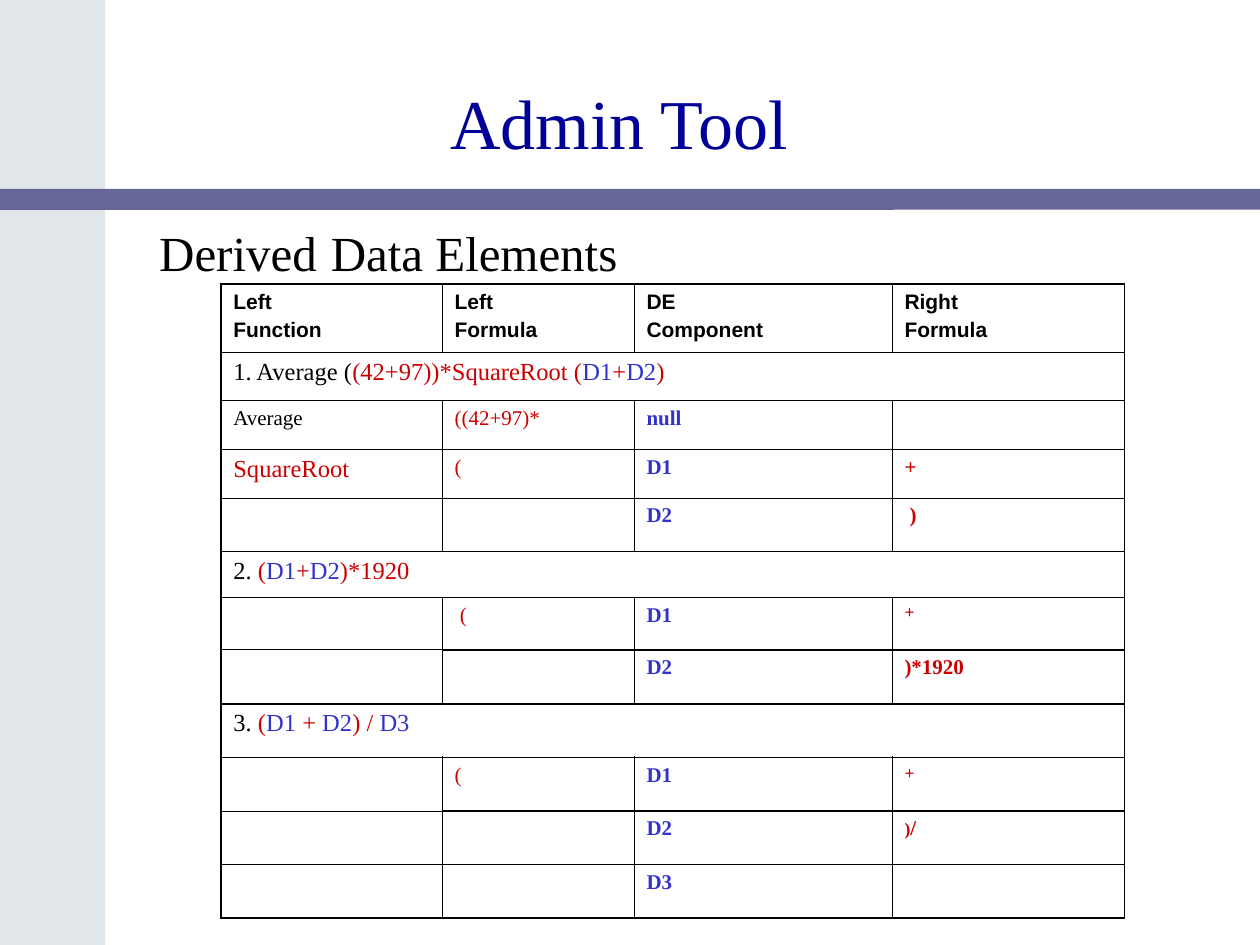
"""Build the Admin Tool slide with its table of derived data elements."""
import lxml.etree
import pptx
import pptx.dml.color
import pptx.enum.shapes
import pptx.enum.text
import pptx.oxml.ns
import pptx.util

Cm, Pt = pptx.util.Cm, pptx.util.Pt
SHAPE = pptx.enum.shapes.MSO_SHAPE
qn = pptx.oxml.ns.qn

COLORS = {"side": "E1E6EB", "bar": "666699", "title": "000099",
          "black": "000000", "red": "CC0000", "blue": "3333CC"}
TITLE = "Admin Tool"
SUBTITLE = [("Derived", 28), (" ", 32), ("Data Elements", 28)]
HEADERS = [("Left", "Function"), ("Left", "Formula"),
           ("DE", "Component"), ("Right", "Formula")]
OPEN = [("(", "red")]
PLUS = [("+", "red", 10)]
D1, D2, D3 = ([(name, "blue")] for name in ("D1", "D2", "D3"))
BODY = [
    [[("1. Average (", "black", 14), ("(42+97))*SquareRoot (", "red", 14), ("D1", "blue", 14),
      ("+", "red", 14), ("D2", "blue", 14), (")", "red", 14)]],
    [[("Average", "black")], [("((42+97)*", "red")], [("null", "blue")], []],
    [[("SquareRoot", "red", 14)], OPEN, D1, [("+", "red")]],
    [[], [], D2, [(" )", "red")]],
    [[("2.", "black", 14), (" (", "red", 14), ("D1", "blue", 14), ("+", "red", 14),
      ("D2", "blue", 14), (")*1920", "red", 14)]],
    [[], [(" (", "red")], D1, PLUS],
    [[], [], D2, [(")*1920", "red")]],
    [[("3.", "black", 14), (" (", "red", 14), ("D1 ", "blue", 14), ("+ ", "red", 14),
      ("D2", "blue", 14), (") / ", "red", 14), ("D3", "blue", 14)]],
    [[], OPEN, D1, PLUS],
    [[], [], D2, [(")", "red", 10), ("/", "red", 12)]],
    [[], [], D3, []],
]
COL_WIDTHS = [4.46, 3.87, 5.2, 4.69]
ROW_HEIGHTS = [1.37, 0.98, 0.98, 0.98, 1.07, 0.93, 1.06, 1.09] + [1.08] * 4
THIN, THICK = 0.45, 1.08
THICK_LINES = {0, 8, 9, 12}
PARTLY_THICK_LINES = {7, 10, 11}


def rgb(name):
    return pptx.dml.color.RGBColor.from_string(COLORS[name])


def add_text(p, text, color="black", size=12, bold=False, font="Times New Roman"):
    r = p.add_run()
    r.text = text
    r.font.name, r.font.size, r.font.bold = font, Pt(size), bold
    r.font.color.rgb = rgb(color)


def add_block(slide, kind, box, color):
    sp = slide.shapes.add_shape(kind, *map(Cm, box))
    sp.shadow.inherit = False
    sp.fill.solid()
    sp.fill.fore_color.rgb = rgb(color)
    sp.line.fill.background()
    return sp


def add_box(slide, box, wrap):
    tf = slide.shapes.add_textbox(*map(Cm, box)).text_frame
    tf.word_wrap = wrap
    return tf


def row_line(line, col):
    thick = line in THICK_LINES or (line in PARTLY_THICK_LINES and col > 0)
    return THICK if thick else THIN


def set_borders(cell, row, col):
    widths = {"a:lnL": THICK if col == 0 else THIN,
              "a:lnR": THICK if col == len(COL_WIDTHS) - 1 else THIN,
              "a:lnT": row_line(row, col), "a:lnB": row_line(row + 1, col)}
    tc_pr = cell._tc.get_or_add_tcPr()
    for i, (tag, width) in enumerate(widths.items()):
        ln = lxml.etree.Element(qn(tag), w=str(int(Pt(width))))
        fill = lxml.etree.SubElement(ln, qn("a:solidFill"))
        lxml.etree.SubElement(fill, qn("a:srgbClr"), val=COLORS["black"])
        tc_pr.insert(i, ln)


def fill_cell(cell, paragraphs):
    tf = cell.text_frame
    for i, runs in enumerate(paragraphs):
        p = tf.add_paragraph() if i else tf.paragraphs[0]
        for text, fmt in runs:
            add_text(p, text, **fmt)
        size = max((fmt.get("size", 12) for _, fmt in runs), default=12)
        p.space_before = Pt(size / 4)
        lxml.etree.SubElement(p._p, qn("a:endParaRPr"), sz=str(size * 100))


def add_formula_table(slide):
    frame = slide.shapes.add_table(len(ROW_HEIGHTS), len(COL_WIDTHS), Cm(4.45), Cm(5.72),
                                   Cm(sum(COL_WIDTHS)), Cm(sum(ROW_HEIGHTS)))
    table = frame.table
    table.first_row = table.horz_banding = False
    for column, width in zip(table.columns, COL_WIDTHS):
        column.width = Cm(width)
    for row, height in zip(table.rows, ROW_HEIGHTS):
        row.height = Cm(height)

    header_fmt = {"bold": True, "font": "Arial"}
    grid = [[[[(line, header_fmt)] for line in lines] for lines in HEADERS]]
    for row in BODY:
        grid.append([[[(text, {"color": color, "size": size[0] if size else 12, "bold": c > 1})
                       for text, color, *size in runs]] for c, runs in enumerate(row)])
    last = len(COL_WIDTHS) - 1
    for r, row in enumerate(grid):
        if len(row) == 1:
            table.cell(r, 0).merge(table.cell(r, last))
        for c in range(last + 1):
            cell = table.cell(r, c)
            cell.fill.background()
            set_borders(cell, r, c)
            fill_cell(cell, row[c] if c < len(row) else [[]])


def main():
    prs = pptx.Presentation()
    prs.slide_width, prs.slide_height = Cm(25.4), Cm(19.05)
    slide = prs.slides.add_slide(prs.slide_layouts[6])
    add_block(slide, SHAPE.RECTANGLE, (0, 0, 2.12, 19.05), "side")
    bar = add_block(slide, SHAPE.ROUNDED_RECTANGLE, (0, 3.81, 25.4, 0.42), "bar")
    bar.adjustments[0] = 0.01

    tf = add_box(slide, (1.69, 0.85, 21.59, 3.18), True)
    tf.vertical_anchor = pptx.enum.text.MSO_ANCHOR.MIDDLE
    tf.paragraphs[0].alignment = pptx.enum.text.PP_ALIGN.CENTER
    add_text(tf.paragraphs[0], TITLE, color="title", size=40)

    add_formula_table(slide)

    tf = add_box(slide, (2.96, 4.22, 9.75, 1.62), False)
    for text, size in SUBTITLE:
        add_text(tf.paragraphs[0], text, size=size)
    prs.save("out.pptx")


if __name__ == "__main__":
    main()
